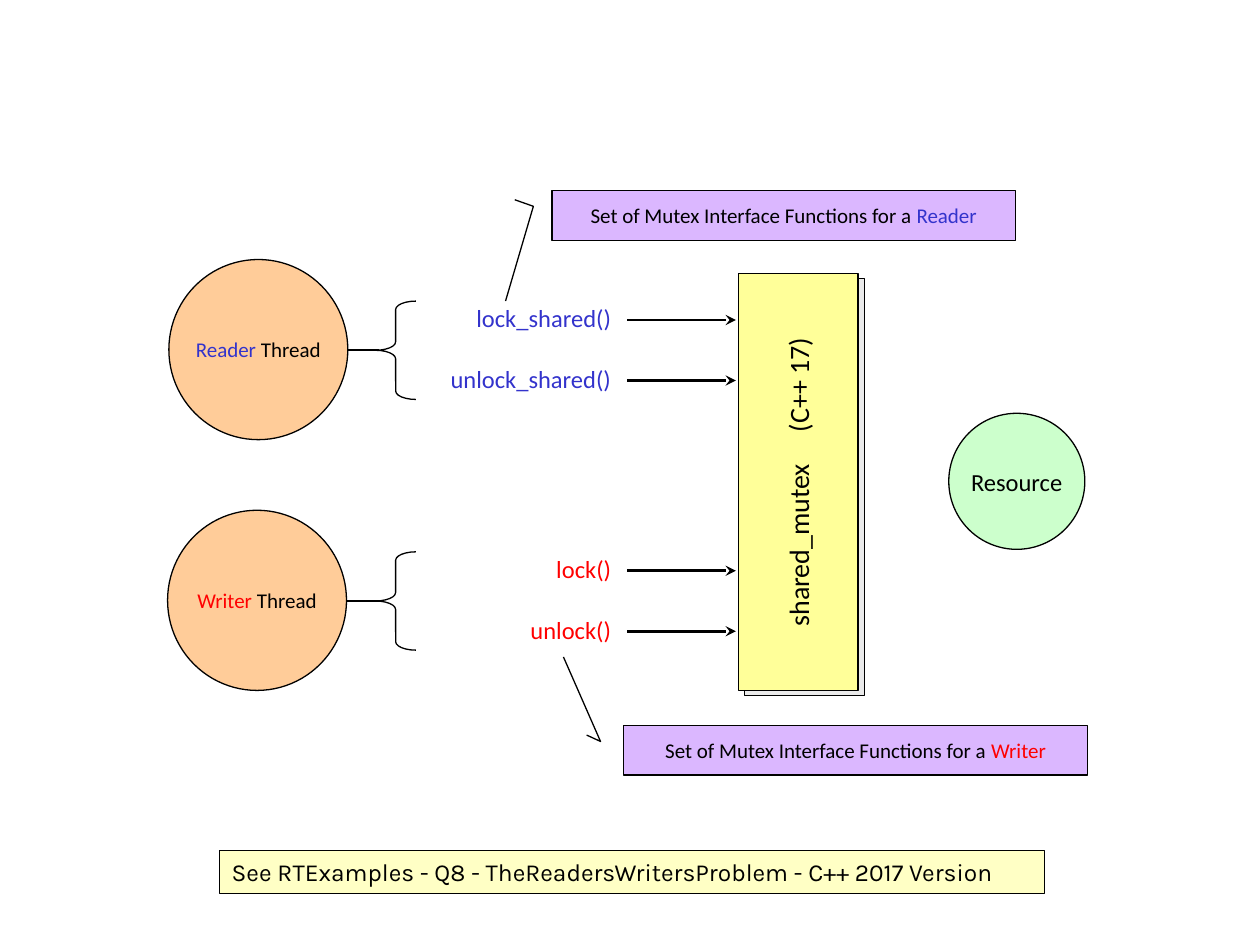
"""Build a slide on reader and writer threads sharing a mutex."""
import pptx
import pptx.dml.color
import pptx.enum.shapes
import pptx.enum.text
import pptx.oxml
import pptx.oxml.ns
import pptx.util

Inches = pptx.util.Inches
Pt = pptx.util.Pt
RGBColor = pptx.dml.color.RGBColor
Kind = pptx.enum.shapes.MSO_SHAPE
Align = pptx.enum.text.PP_ALIGN
Anchor = pptx.enum.text.MSO_ANCHOR
Fit = pptx.enum.text.MSO_AUTO_SIZE

BLACK = RGBColor(0x00, 0x00, 0x00)
BLUE = RGBColor(0x33, 0x33, 0xCC)
RED = RGBColor(0xFF, 0x00, 0x00)
GREY = RGBColor(0xEA, 0xEA, 0xEA)
YELLOW = RGBColor(0xFF, 0xFF, 0x99)
CREAM = RGBColor(0xFF, 0xFF, 0xC5)
GREEN = RGBColor(0xCC, 0xFF, 0xCC)
ORANGE = RGBColor(0xFF, 0xCC, 0x99)
PURPLE = RGBColor(0xDB, 0xB7, 0xFF)


def write(shape, runs, size, align=Align.CENTER, anchor=Anchor.MIDDLE,
          face="Calibri", wrap=True):
    """Fill a shape with one paragraph of (text, colour) runs."""
    frame = shape.text_frame
    frame.word_wrap = wrap
    frame.vertical_anchor = anchor
    para = frame.paragraphs[0]
    para.alignment = align
    for text, color in runs:
        run = para.add_run()
        run.text = text
        run.font.size = Pt(size)
        run.font.name = face
        run.font.color.rgb = color
    return para


def add_form(slide, kind, box, fill=None, adjust=()):
    """Add a thinly outlined preset shape."""
    shape = slide.shapes.add_shape(kind, *map(Inches, box))
    shape.shadow.inherit = False
    if fill is None:
        shape.fill.background()
    else:
        shape.fill.solid()
        shape.fill.fore_color.rgb = fill
    shape.line.color.rgb = BLACK
    shape.line.width = Pt(0.75)
    for index, value in enumerate(adjust):
        shape.adjustments[index] = value
    return shape


def add_label(slide, box, runs, size, align):
    """Add a text box that grows with its text."""
    label = slide.shapes.add_textbox(*map(Inches, box))
    para = write(label, runs, size, align, Anchor.TOP)
    label.text_frame.auto_size = Fit.SHAPE_TO_FIT_TEXT
    return label, para


def add_line(slide, left, right, y, width, arrow=False):
    """Add a level black line, with an arrowhead if asked."""
    line = slide.shapes.add_connector(
        pptx.enum.shapes.MSO_CONNECTOR.STRAIGHT,
        Inches(left), Inches(y), Inches(right), Inches(y))
    line.line.color.rgb = BLACK
    line.line.width = Pt(width)
    if arrow:
        tail = pptx.oxml.parse_xml(
            f'<a:tailEnd {pptx.oxml.ns.nsdecls("a")} type="stealth"/>')
        line.line._get_or_add_ln().append(tail)
    effect = pptx.oxml.parse_xml(
        f'<a:effectLst {pptx.oxml.ns.nsdecls("a")}/>')
    line._element.spPr.append(effect)


def add_mutex(slide):
    """Add the mutex block with its backing and upright name."""
    add_form(slide, Kind.RECTANGLE, (5.91, 2.21, 0.95, 3.31), GREY)
    add_form(slide, Kind.RECTANGLE, (5.86, 2.17, 0.95, 3.31), YELLOW)
    runs = [("shared_mutex", BLACK), (" ", BLACK), ("(C++ 17)", BLACK)]
    label, para = add_label(slide, (4.73, 3.64, 3.21, 0.37), runs, 16,
                            Align.CENTER)
    label.rotation = 270
    para.runs[1]._r.get_or_add_rPr().set("spc", "1450")


def add_thread(slide, role, color, left, mid, calls):
    """Add a thread, its brace and the calls it makes on the mutex."""
    add_line(slide, left + 1.67, left + 1.42, mid, 1)
    for call, y in zip(calls, (mid - 0.24, mid + 0.24)):
        add_line(slide, 4.98, 5.84, y, 1.5, arrow=True)
        add_label(slide, (2.98, y - 0.18, 1.97, 0.34), [(call, color)], 14,
                  Align.RIGHT)
    add_form(slide, Kind.LEFT_BRACE, (2.98, mid - 0.39, 0.32, 0.78),
             adjust=(0.21, 0.5))
    disc = add_form(slide, Kind.OVAL, (left, mid - 0.72, 1.42, 1.43), ORANGE)
    write(disc, [(role, color), (" Thread", BLACK)], 12, wrap=False)


def add_note(slide, role, color, box, adjust):
    """Add a callout naming the functions of a role."""
    note = add_form(slide, Kind.LINE_CALLOUT_2, box, PURPLE, adjust)
    text = "Set of Mutex Interface Functions for a "
    write(note, [(text, BLACK), (role, color)], 12)


def main():
    """Build and save the slide."""
    deck = pptx.Presentation()
    deck.slide_width = Inches(10)
    deck.slide_height = Inches(7.5)
    slide = deck.slides.add_slide(deck.slide_layouts[6])

    add_mutex(slide)
    add_thread(slide, "Reader", BLUE, 1.34, 2.78,
               ("lock_shared()", "unlock_shared()"))
    add_thread(slide, "Writer", RED, 1.33, 4.77, ("lock()", "unlock()"))

    store = add_form(slide, Kind.OVAL, (7.53, 3.28, 1.08, 1.08), GREEN)
    write(store, [("Resource", BLACK)], 14, wrap=False)

    add_note(slide, "Reader", BLUE, (4.38, 1.51, 3.68, 0.4),
             (0.19, -0.08, 0.32, -0.04, 2.2, -0.1))
    add_note(slide, "Writer", RED, (4.95, 5.76, 3.68, 0.39),
             (0.19, -0.08, 0.32, -0.05, -1.4, -0.13))

    foot = add_form(slide, Kind.RECTANGLE, (1.74, 6.75, 6.55, 0.34), CREAM)
    text = "See RTExamples - Q8 - TheReadersWritersProblem - C++ 2017 Version"
    write(foot, [(text, BLACK)], 14, Align.LEFT, Anchor.TOP, "Karla")

    deck.save("out.pptx")


if __name__ == "__main__":
    main()
